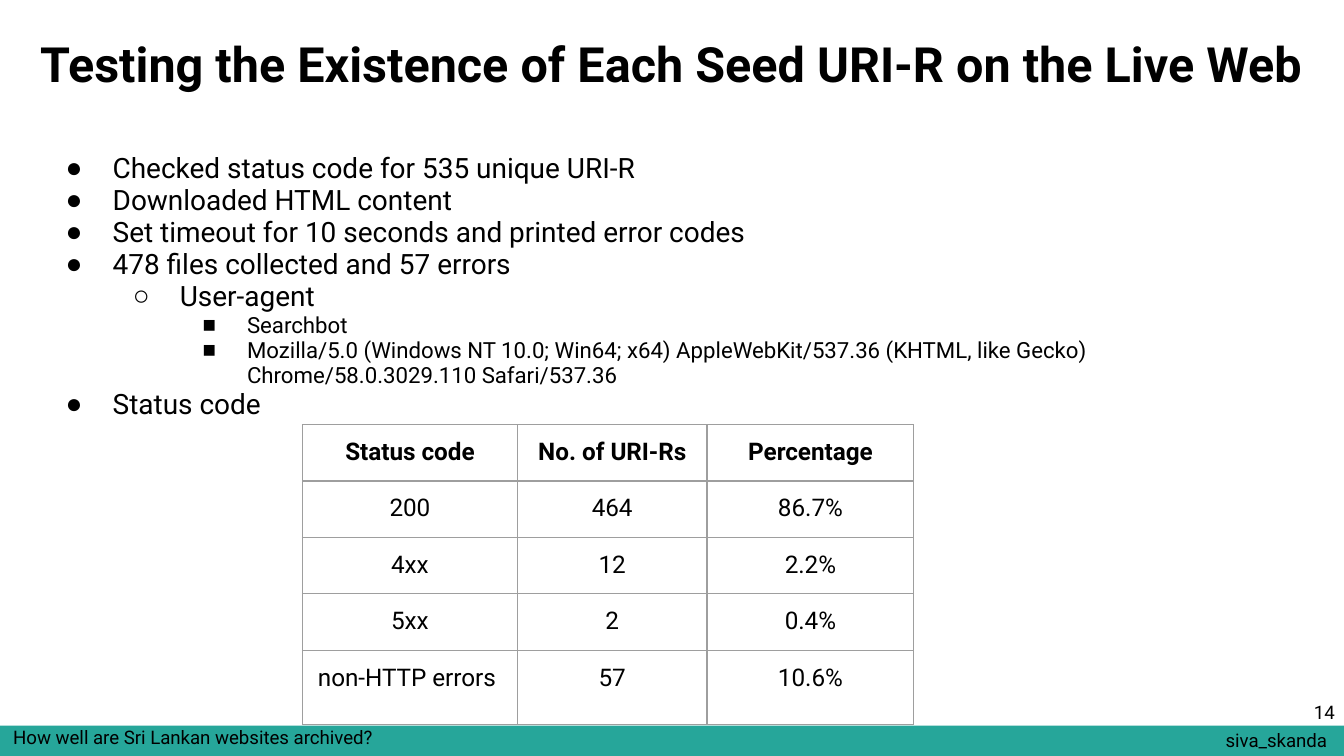
from lxml import etree
from pptx import Presentation
from pptx.dml.color import RGBColor
from pptx.enum.shapes import MSO_SHAPE
from pptx.enum.text import MSO_ANCHOR, MSO_AUTO_SIZE, PP_ALIGN
from pptx.oxml.ns import qn
from pptx.util import Inches, Pt

RECTANGLE = MSO_SHAPE.RECTANGLE
TOP, MIDDLE = MSO_ANCHOR.TOP, MSO_ANCHOR.MIDDLE
NO_AUTOFIT = MSO_AUTO_SIZE.NONE
LEFT, CENTER, RIGHT = PP_ALIGN.LEFT, PP_ALIGN.CENTER, PP_ALIGN.RIGHT

BLACK = RGBColor(0x00, 0x00, 0x00)
TEAL = RGBColor(0x26, 0xA6, 0x9A)
GRID_GRAY = RGBColor(0x9E, 0x9E, 0x9E)
FONT = "Roboto"
BULLET_FONT = "Arial"
INSET = Inches(0.1)
SLIDE_WIDTH = Inches(10)
SLIDE_HEIGHT = SLIDE_WIDTH * 9 // 16
TITLE_ONLY = 5

# Per level: bullet character, left margin and hanging indent in inches, text size
BULLET_LEVELS = [("●", 0.5, 0.35, 15), ("○", 1.0, 0.35, 15), ("■", 1.5, 0.33, 11.9)]
POINTS = [
    (0, "Checked status code for 535 unique URI-R"),
    (0, "Downloaded HTML content"),
    (0, "Set timeout for 10 seconds and printed error codes"),
    (0, "478 files collected and 57 errors"),
    (1, "User-agent"),
    (2, "Searchbot"),
    (2, "Mozilla/5.0 (Windows NT 10.0; Win64; x64) AppleWebKit/537.36 "
        "(KHTML, like Gecko) Chrome/58.0.3029.110 Safari/537.36"),
    (0, "Status code"),
]
STATUS_ROWS = [
    ("Status code", "No. of URI-Rs", "Percentage"),
    ("200", "464", "86.7%"),
    ("4xx", "12", "2.2%"),
    ("5xx", "2", "0.4%"),
    ("non-HTTP errors ", "57", "10.6%"),
]
COLUMN_WIDTHS = [1.6, 1.41, 1.54]
ROW_HEIGHTS = [0.42, 0.42, 0.42, 0.42, 0.55]


def style_paragraph(paragraph, size, bold=False, align=LEFT):
    paragraph.alignment = align
    font = paragraph.font
    font.name = FONT
    font.size = Pt(size)
    font.bold = bold
    font.color.rgb = BLACK


def set_insets(target):
    """Give a text frame or a table cell the same inset on all sides."""
    target.margin_left = target.margin_right = INSET
    target.margin_top = target.margin_bottom = INSET


def prepare_frame(frame, anchor=TOP):
    frame.word_wrap = True
    frame.auto_size = NO_AUTOFIT
    frame.vertical_anchor = anchor
    set_insets(frame)


def add_title(slide, text):
    title = slide.shapes.title
    title.left, title.top = Inches(0), Inches(0.15)
    title.width, title.height = SLIDE_WIDTH, Inches(0.67)
    prepare_frame(title.text_frame)
    title.text_frame.text = text
    style_paragraph(title.text_frame.paragraphs[0], 26, bold=True, align=CENTER)


def add_label(slide, text, left, top, width, height, align=LEFT, anchor=TOP):
    box = slide.shapes.add_textbox(Inches(left), Inches(top), Inches(width), Inches(height))
    prepare_frame(box.text_frame, anchor)
    box.text_frame.text = text
    style_paragraph(box.text_frame.paragraphs[0], 10, align=align)


def add_footer_band(slide):
    band = slide.shapes.add_shape(RECTANGLE, Inches(0), Inches(5.4), SLIDE_WIDTH, Inches(0.23))
    band.shadow.inherit = False
    band.fill.solid()
    band.fill.fore_color.rgb = TEAL
    band.line.fill.background()


def set_bullet(paragraph, character, margin, hanging):
    properties = paragraph._p.get_or_add_pPr()
    properties.set("marL", str(Inches(margin)))
    properties.set("indent", str(-Inches(hanging)))
    color = etree.SubElement(properties, qn("a:buClr"))
    etree.SubElement(color, qn("a:srgbClr"), val=str(BLACK))
    etree.SubElement(properties, qn("a:buFont"), typeface=BULLET_FONT)
    etree.SubElement(properties, qn("a:buChar"), char=character)


def add_bullets(slide, points):
    box = slide.shapes.add_textbox(Inches(0.24), Inches(1.04), Inches(9.03), Inches(2.81))
    frame = box.text_frame
    prepare_frame(frame)
    for index, (level, text) in enumerate(points):
        paragraph = frame.add_paragraph() if index else frame.paragraphs[0]
        character, margin, hanging, size = BULLET_LEVELS[level]
        paragraph.text = text
        paragraph.level = level
        set_bullet(paragraph, character, margin, hanging)
        paragraph.line_spacing = 0.95
        style_paragraph(paragraph, size)


def set_borders(cell):
    properties = cell._tc.get_or_add_tcPr()
    for position, side in enumerate(("a:lnL", "a:lnR", "a:lnT", "a:lnB")):
        line = etree.Element(qn(side), w=str(Pt(0.75)))
        fill = etree.SubElement(line, qn("a:solidFill"))
        etree.SubElement(fill, qn("a:srgbClr"), val=str(GRID_GRAY))
        properties.insert(position, line)


def add_status_table(slide, rows):
    table = slide.shapes.add_table(
        len(rows), len(COLUMN_WIDTHS), Inches(2.25), Inches(3.16),
        Inches(sum(COLUMN_WIDTHS)), Inches(sum(ROW_HEIGHTS))).table
    table.first_row = table.horz_banding = False
    for column, width in zip(table.columns, COLUMN_WIDTHS):
        column.width = Inches(width)
    for row, height in zip(table.rows, ROW_HEIGHTS):
        row.height = Inches(height)
    for row_index, values in enumerate(rows):
        for column_index, value in enumerate(values):
            cell = table.cell(row_index, column_index)
            cell.text = value
            cell.fill.background()
            set_insets(cell)
            set_borders(cell)
            style_paragraph(cell.text_frame.paragraphs[0], 13,
                            bold=row_index == 0, align=CENTER)


def main():
    presentation = Presentation()
    presentation.slide_width = SLIDE_WIDTH
    presentation.slide_height = SLIDE_HEIGHT
    slide = presentation.slides.add_slide(presentation.slide_layouts[TITLE_ONLY])

    add_footer_band(slide)
    add_label(slide, "How well are Sri Lankan websites archived?", 0, 5.3, 8.97, 0.37)
    add_label(slide, "siva_skanda", 9.02, 5.32, 1.01, 0.54)
    add_title(slide, "Testing the Existence of Each Seed URI-R on the Live Web")
    add_bullets(slide, POINTS)
    add_label(slide, "14", 9.43, 5.08, 0.6, 0.43, align=RIGHT, anchor=MIDDLE)
    add_status_table(slide, STATUS_ROWS)

    presentation.save("out.pptx")


if __name__ == "__main__":
    main()
